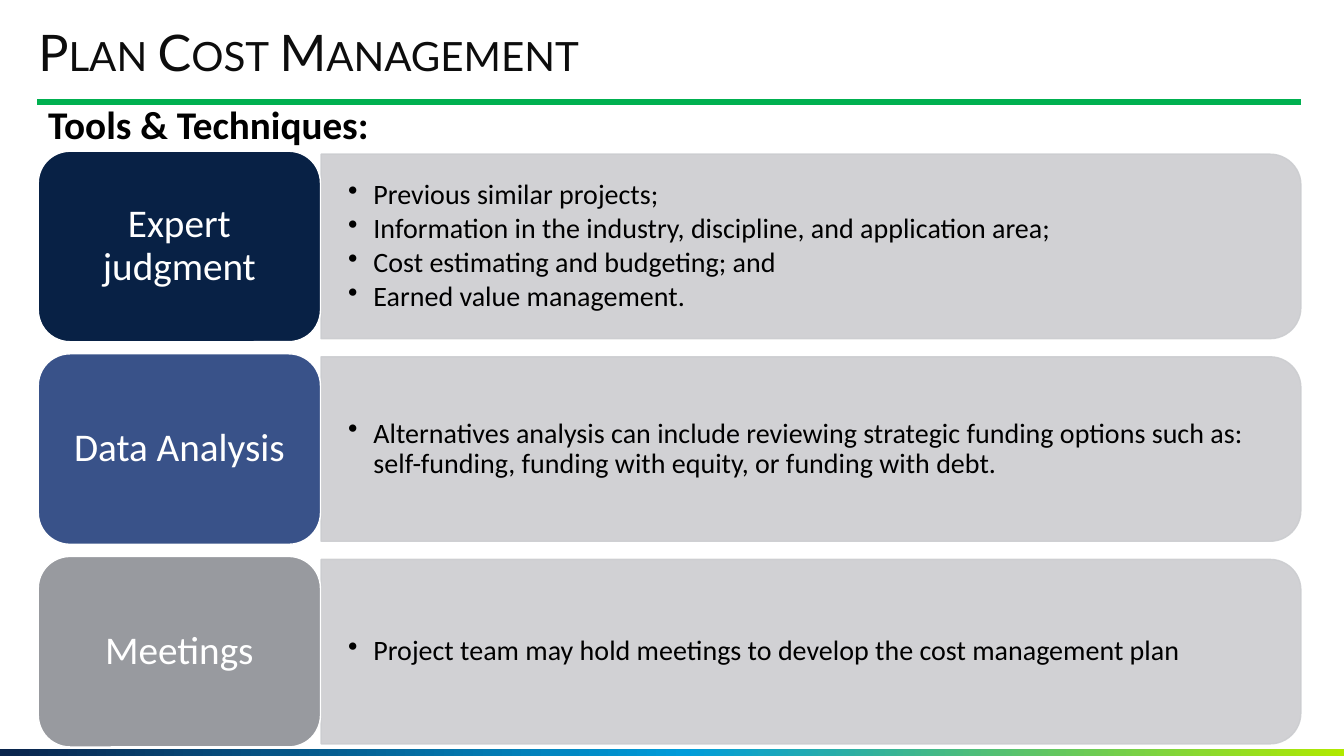
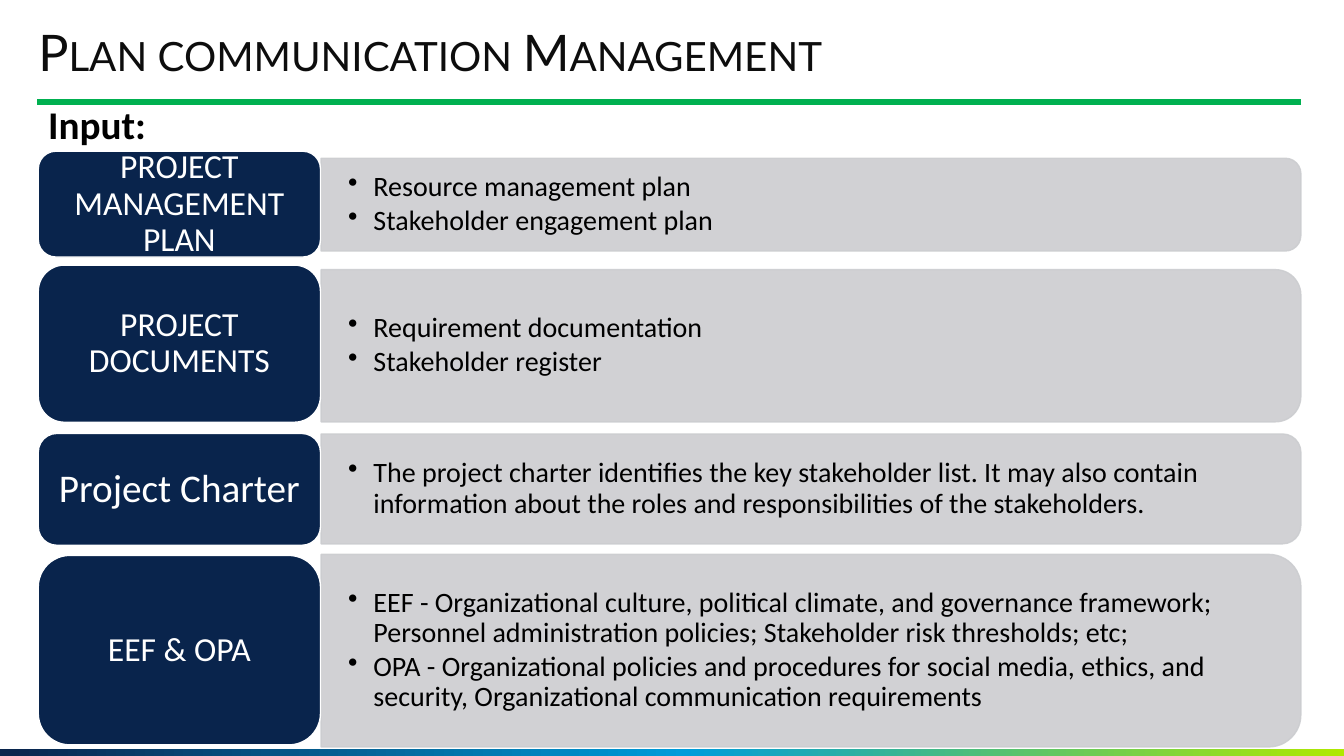
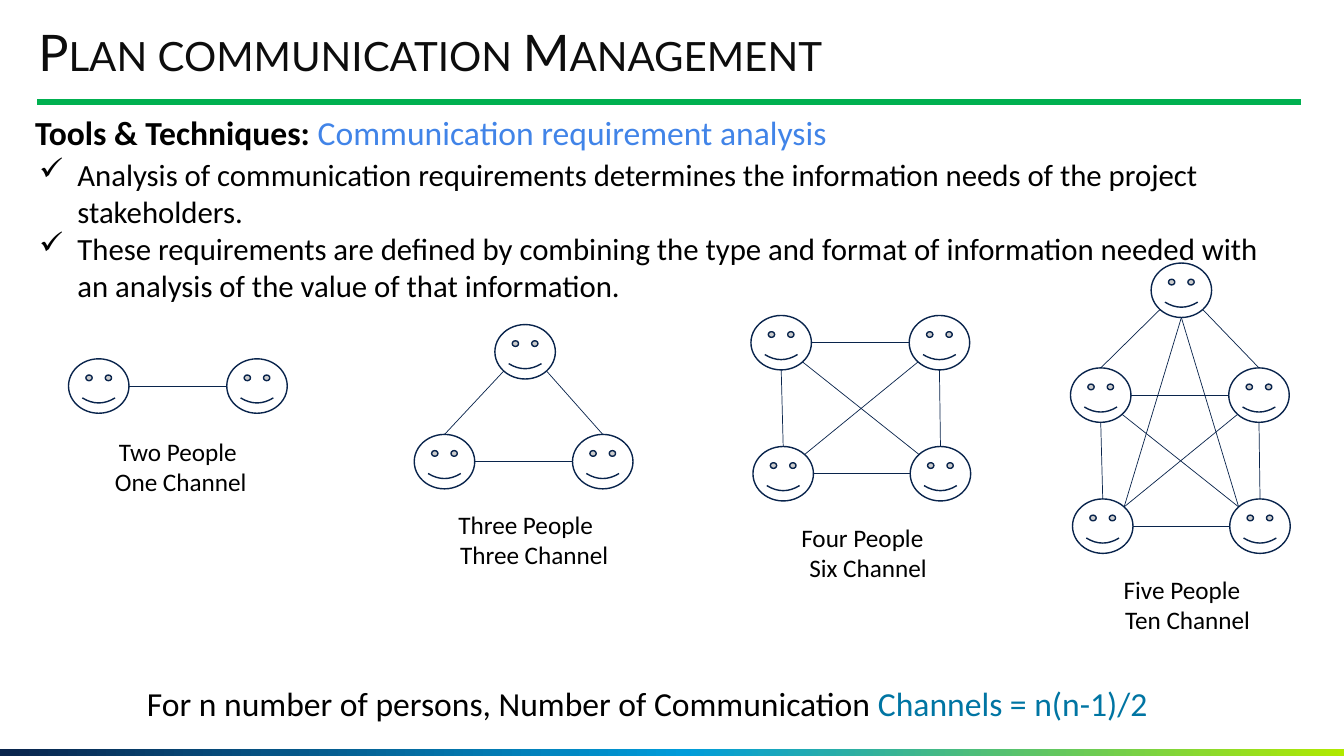
from dataclasses import dataclass
from typing import Optional

from lxml import etree
from pptx import Presentation
from pptx import util as u
from pptx.dml.color import RGBColor
from pptx.enum import shapes, text
from pptx.oxml.ns import qn

COLUMNS, ROWS = 133.33, 75
CELL_INCHES = 0.1
BODY_FONT, TITLE_FONT = "Calibri", "Lato"
BLACK, WHITE, INK, NAVY, GREEN = "000000", "FFFFFF", "0D0D0D", "09244C", "00B050"
MIDNIGHT, INDIGO, GREY, PANEL = "082145", "395289", "989A9F", "CCCDD0"
SKY, TEAL = "4184E8", "0075A3"
BAND_STOPS = ((0, NAVY), (51, "009CDA"), (100, "B0E900"))

LABEL_LEFT, LABEL_WIDTH = 3.8, 28
PANEL_LEFT, PANEL_WIDTH = 31.85, 97.2
FACE_WIDTH, FACE_HEIGHT = 6, 5.4
DIAGONAL = 0.5 ** 0.5
SITES = {
    "top": (0, -1), "bottom": (0, 1), "left": (-1, 0), "right": (1, 0),
    "top left": (-DIAGONAL, -DIAGONAL), "top right": (DIAGONAL, -DIAGONAL),
    "bottom left": (-DIAGONAL, DIAGONAL), "bottom right": (DIAGONAL, DIAGONAL),
}


@dataclass(frozen=True)
class Area:
    left: float
    top: float
    width: float
    height: float


@dataclass(frozen=True)
class Span:
    words: str
    size: float
    colour: str = BLACK
    bold: bool = False
    font: str = BODY_FONT


@dataclass(frozen=True)
class Style:
    align: text.PP_ALIGN = text.PP_ALIGN.LEFT
    line: float = 1.0
    after: float = 0
    bullet: str = ""
    indent: float = 0


@dataclass(frozen=True)
class Topic:
    label: str
    points: tuple[str, ...]
    top: float
    height: float
    panel_top: float
    panel_height: float
    colour: str = NAVY
    size: float = 24


@dataclass(frozen=True)
class Link:
    start: int
    start_site: str
    end: int
    end_site: str


@dataclass(frozen=True)
class Network:
    left: float
    top: float
    faces: tuple[tuple[float, float], ...]
    links: tuple[Link, ...]
    people: str
    channels: str
    caption_left: float
    caption_top: float
    nudge: float


POINT_STYLE = Style(line=0.9, after=2.5, bullet="•", indent=2.5)
CHECK_STYLE = Style(bullet="✓", indent=3.8)
TIGHT = Style(line=0.9)
CENTRED = Style(align=text.PP_ALIGN.CENTER)
CENTRED_TIGHT = Style(align=text.PP_ALIGN.CENTER, line=0.9)

COST_TOPICS = tuple(
    Topic(label, points, 15 + 20.1 * index, 18.9, 15.3 + 20.1 * index, 18.3, colour, 28)
    for index, (label, colour, points) in enumerate((
        ("Expert judgment", MIDNIGHT, (
            "Previous similar projects;",
            "Information in the industry, discipline, and application area;",
            "Cost estimating and budgeting; and",
            "Earned value management.",
        )),
        ("Data Analysis", INDIGO, (
            "Alternatives analysis can include reviewing strategic funding options such as: "
            "self-funding, funding with equity, or funding with debt.",
        )),
        ("Meetings", GREY, (
            "Project team may hold meetings to develop the cost management plan",
        )),
    ))
)

INPUT_TOPICS = (
    Topic("PROJECT MANAGEMENT PLAN",
          ("Resource management plan", "Stakeholder engagement plan"),
          15, 10.5, 15.7, 9.2),
    Topic("PROJECT DOCUMENTS",
          ("Requirement documentation", "Stakeholder register"),
          26.3, 15.6, 26.75, 15.1),
    Topic("Project Charter",
          ("The project charter identifies the key stakeholder list. It may also contain "
           "information about the roles and responsibilities of the stakeholders.",),
          43, 11.1, 43.05, 10.9, size=28),
    Topic("EEF & OPA",
          ("EEF - Organizational culture, political climate, and governance framework; "
           "Personnel administration policies; Stakeholder risk thresholds; etc;",
           "OPA - Organizational policies and procedures for social media, ethics, and "
           "security, Organizational communication requirements"),
          55.1, 18.8, 55, 19.1),
)

PAIR = ((0, 0), (15.7, 0))
PAIR_LINKS = (Link(0, "right", 1, "left"),)
SQUARE = PAIR + ((0.2, 13), (15.8, 13))
SQUARE_LINKS = PAIR_LINKS + (
    Link(2, "right", 3, "left"),
    Link(1, "bottom", 3, "top"),
    Link(0, "bottom", 2, "top"),
    Link(2, "top right", 1, "bottom left"),
    Link(0, "bottom right", 3, "top left"),
)


def roof_links(apex: int) -> tuple[Link, ...]:
    return Link(apex, "bottom left", 0, "top"), Link(apex, "bottom right", 1, "top")


NETWORKS = (
    Network(6.8, 35.6, PAIR, PAIR_LINKS, "Two People", "One Channel", 6.8, 42.8, 0.57),
    Network(41.1, 43.1, PAIR + ((8, -10.9),), PAIR_LINKS + roof_links(2),
            "Three People", "Three Channel", 41.3, 50, 1.7),
    Network(74.5, 31.3, SQUARE, SQUARE_LINKS, "Four People", "Six Channel", 74.7, 51.3, 1.13),
    Network(106.2, 36.5, SQUARE + ((8, -10.4),),
            SQUARE_LINKS + roof_links(4) + (
                Link(4, "bottom", 2, "top right"), Link(4, "bottom", 3, "top left")),
            "Five People", "Ten Channel", 106.4, 56.5, 1.13),
)


def cells(count: float) -> u.Length:
    return u.Inches(count * CELL_INCHES)


def place(area: Area) -> tuple[u.Length, ...]:
    return tuple(cells(n) for n in (area.left, area.top, area.width, area.height))


def paint(colour_format, colour: str) -> None:
    colour_format.rgb = RGBColor.from_string(colour)


def add_block(page, kind, area: Area, fill: str, outline: str):
    block = page.shapes.add_shape(kind, *place(area))
    block.shadow.inherit = False
    block.fill.solid()
    paint(block.fill.fore_color, fill)
    paint(block.line.color, outline)
    block.line.width = u.Pt(1)
    return block


def add_line(page, start, end, colour: str, width: float) -> None:
    line = page.shapes.add_connector(
        shapes.MSO_CONNECTOR.STRAIGHT, *(cells(n) for n in (*start, *end)))
    paint(line.line.color, colour)
    line.line.width = u.Pt(width)
    etree.SubElement(line.element.spPr, qn("a:effectLst"))


def write(para, spans: tuple[Span, ...], style: Style) -> None:
    properties = para._p.get_or_add_pPr()
    if style.indent:
        properties.set("marL", str(cells(style.indent)))
    if style.bullet:
        properties.set("indent", str(-cells(style.indent)))
        etree.SubElement(properties, qn("a:buChar")).set("char", style.bullet)
    para.alignment = style.align
    para.line_spacing = style.line
    para.space_before = u.Pt(0)
    para.space_after = u.Pt(style.after)
    for item in spans:
        span = para.add_run()
        span.text = item.words
        span.font.name = item.font
        span.font.size = u.Pt(item.size)
        span.font.bold = item.bold
        paint(span.font.color, item.colour)


def fill_frame(frame, paras, anchor=text.MSO_ANCHOR.TOP,
               inset_x: float = 1, inset_y: float = 0.5) -> None:
    frame.word_wrap = True
    frame.auto_size = text.MSO_AUTO_SIZE.NONE
    frame.vertical_anchor = anchor
    frame.margin_left = frame.margin_right = cells(inset_x)
    frame.margin_top = frame.margin_bottom = cells(inset_y)
    for index, (spans, style) in enumerate(paras):
        para = frame.add_paragraph() if index else frame.paragraphs[0]
        write(para, spans, style)


def add_text(page, area: Area, paras, **options) -> None:
    box = page.shapes.add_textbox(*place(area))
    fill_frame(box.text_frame, paras, **options)


def add_band(page) -> None:
    band = add_block(page, shapes.MSO_SHAPE.RECTANGLE,
                     Area(0, ROWS - 0.7, COLUMNS, 0.7), NAVY, NAVY)
    band.line.fill.background()
    band.fill.gradient()
    band.fill.gradient_angle = 0
    stops = next(band.element.spPr.iter(qn("a:gsLst")))
    for stop in list(stops):
        stops.remove(stop)
    for share, colour in BAND_STOPS:
        stop = etree.SubElement(stops, qn("a:gs"), pos=str(share * 1000))
        etree.SubElement(stop, qn("a:srgbClr"), val=colour)


def add_page(deck, heading: str):
    page = deck.slides.add_slide(deck.slide_layouts[5])
    title = page.shapes.title
    title.left, title.top, title.width, title.height = place(Area(3.8, 2.7, 111.9, 5.5))
    fill_frame(title.text_frame, [((Span(heading, 36, INK, font=TITLE_FONT),), TIGHT)],
               anchor=text.MSO_ANCHOR.MIDDLE, inset_x=0, inset_y=0)
    for span in title.text_frame.paragraphs[0].runs:
        span.font._element.set("cap", "small")
    add_band(page)
    add_line(page, (3.7, 10.1), (129.1, 10.1), GREEN, 4.5)
    return page


def add_panel(page, area: Area) -> None:
    shift = (area.width - area.height) / 2
    upright = Area(area.left + shift, area.top - shift, area.height, area.width)
    panel = add_block(page, shapes.MSO_SHAPE.ROUND_2_SAME_RECTANGLE, upright, PANEL, PANEL)
    panel.rotation = 90
    for colour in panel.element.spPr.iter(qn("a:srgbClr")):
        etree.SubElement(colour, qn("a:alpha"), val="90000")


def add_topic(page, topic: Topic) -> None:
    area = Area(PANEL_LEFT, topic.panel_top, PANEL_WIDTH, topic.panel_height)
    add_panel(page, area)
    add_text(page, Area(area.left, area.top, 96.4, area.height),
             [((Span(point, 20),), POINT_STYLE) for point in topic.points],
             anchor=text.MSO_ANCHOR.MIDDLE, inset_x=2.7, inset_y=1.4)
    label = add_block(page, shapes.MSO_SHAPE.ROUNDED_RECTANGLE,
                      Area(LABEL_LEFT, topic.top, LABEL_WIDTH, topic.height),
                      topic.colour, WHITE)
    fill_frame(label.text_frame, [((Span(topic.label, topic.size, WHITE),), CENTRED_TIGHT)],
               anchor=text.MSO_ANCHOR.MIDDLE)


def add_topics_page(deck, heading: str, subtitle: str, topics: tuple[Topic, ...]) -> None:
    page = add_page(deck, heading)
    add_text(page, Area(3.8, 10, 125.3, 5.5), [((Span(subtitle, 28, bold=True),), TIGHT)])
    for topic in topics:
        add_topic(page, topic)


def site_point(network: Network, face: int, site: str) -> tuple[float, float]:
    across, down = network.faces[face]
    x, y = SITES[site]
    return (network.left + across + FACE_WIDTH * (1 + x) / 2,
            network.top + down + FACE_HEIGHT * (1 + y) / 2)


def add_network(page, network: Network) -> None:
    for across, down in network.faces:
        add_block(page, shapes.MSO_SHAPE.SMILEY_FACE,
                  Area(network.left + across, network.top + down, FACE_WIDTH, FACE_HEIGHT),
                  WHITE, NAVY)
    for link in network.links:
        add_line(page, site_point(network, link.start, link.start_site),
                 site_point(network, link.end, link.end_site), NAVY, 0.5)
    nudged = Style(align=text.PP_ALIGN.CENTER, indent=network.nudge)
    add_text(page, Area(network.caption_left, network.caption_top, 21.7, 7.1), [
        ((Span(network.people, 18),), CENTRED),
        ((Span(network.channels, 18),), nudged),
    ])


def add_channels_page(deck, heading: str) -> None:
    page = add_page(deck, heading)
    add_text(page, Area(2.5, 10.6, 125, 5), [((
        Span("Tools & Techniques: ", 24, bold=True),
        Span("Communication requirement analysis", 24, SKY)), Style())])
    add_text(page, Area(2.9, 15, 125, 15.8), [((Span(words, 22),), CHECK_STYLE) for words in (
        "Analysis of communication requirements determines the information needs of the "
        "project stakeholders.",
        "These requirements are defined by combining the type and format of information "
        "needed with an analysis of the value of that information.",
    )])
    for network in NETWORKS:
        add_network(page, network)
    add_text(page, Area(13.6, 67.3, 109.3, 5), [((
        Span("For n number of persons, Number of Communication ", 24),
        Span("Channels = n(n-1)/2", 24, TEAL)), Style())])


def main() -> None:
    deck = Presentation()
    deck.slide_width, deck.slide_height = cells(COLUMNS), cells(ROWS)
    add_topics_page(deck, "Plan Cost Management", "Tools & Techniques:", COST_TOPICS)
    add_topics_page(deck, "Plan communication Management", "Input:", INPUT_TOPICS)
    add_channels_page(deck, "Plan communication Management")
    deck.save("out.pptx")


if __name__ == "__main__":
    main()
